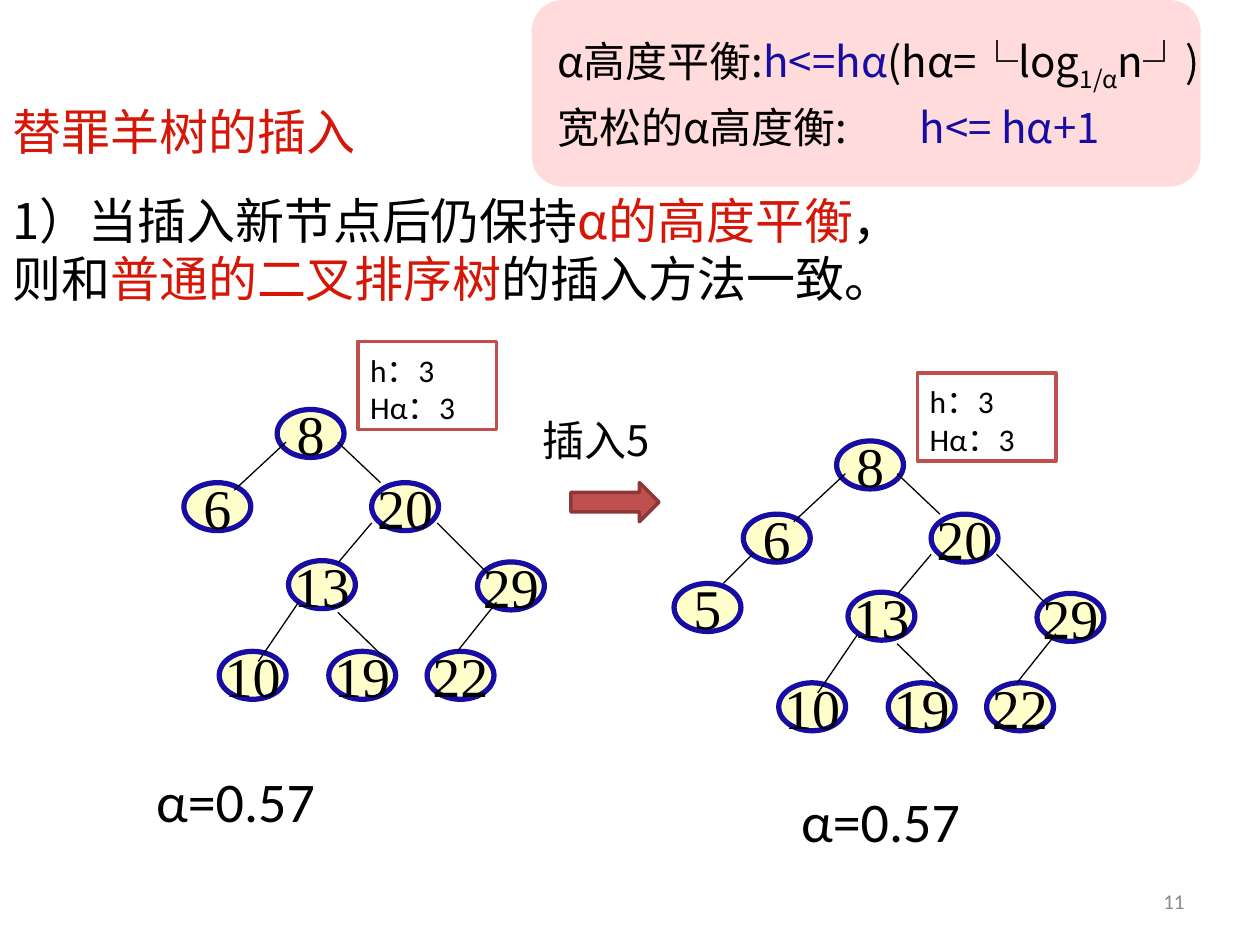
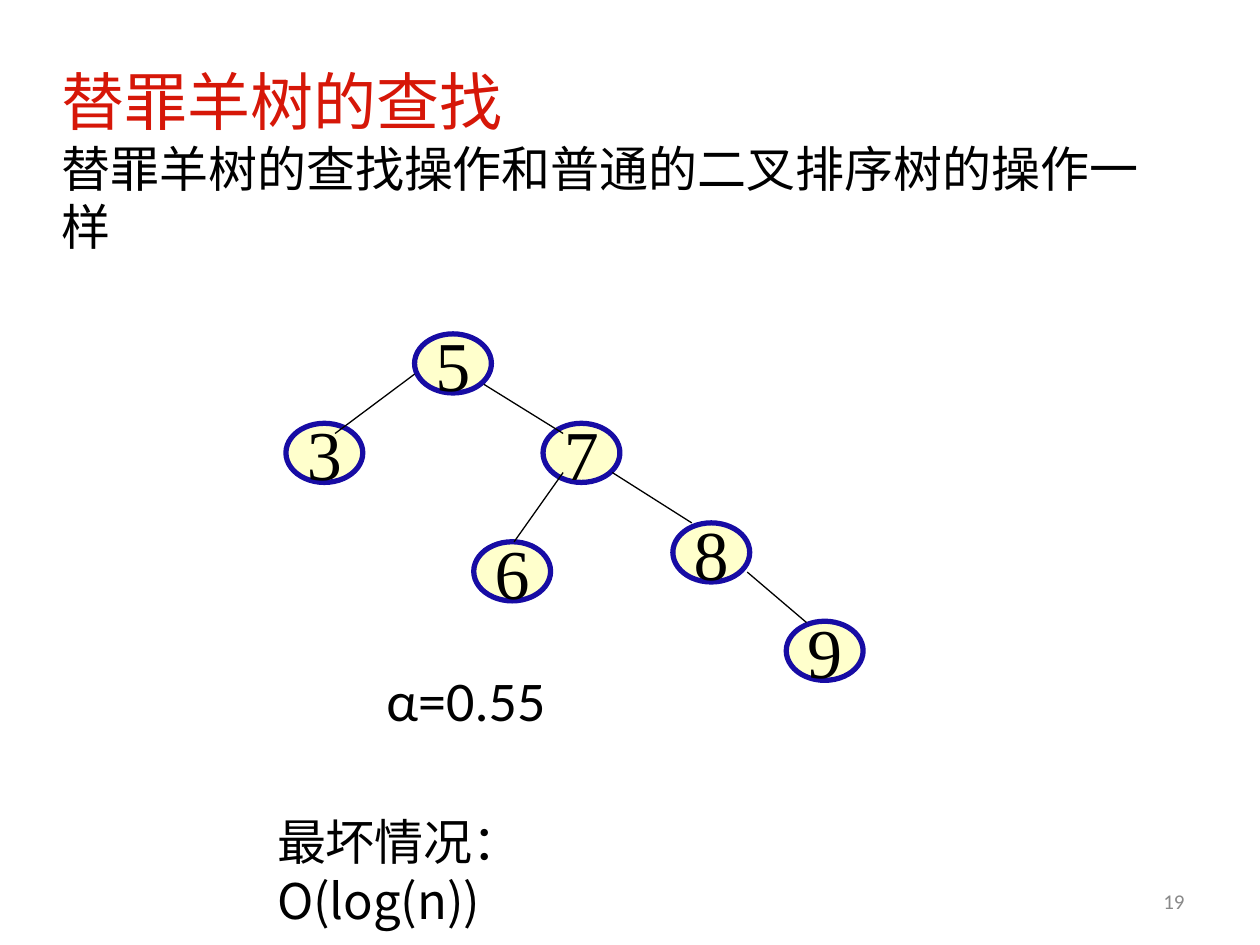
from lxml.etree import SubElement
from pptx import Presentation
from pptx.dml.color import RGBColor
from pptx.enum.shapes import MSO_CONNECTOR, MSO_SHAPE
from pptx.enum.text import MSO_ANCHOR, MSO_AUTO_SIZE, PP_ALIGN
from pptx.oxml.ns import qn
from pptx.util import Pt

COLORS = {
    "red": "D61708", "blue": "170CA4", "black": "000000", "grey": "898989",
    "node": "FFFFCC", "white": "FFFFFF", "brick": "C0504D",
    "brick_edge": "8C3836", "panel": "FF0000",
}
CJK, LATIN, NUMERAL = "Noto Sans CJK SC", "Calibri", "Times New Roman"
LINE_RATIO = 1.19

INSERT_NODES = {
    "8": (158.4, 234), "6": (105.1, 275.8), "20": (212.4, 275.8),
    "13": (164.9, 320.4), "29": (272.9, 321.1), "10": (125.3, 372.2),
    "19": (187.9, 372.2), "22": (244.1, 372.2),
}
INSERT_EDGES = [
    (163.4, 252.7, 133.9, 280.1), (193, 252.7, 217.4, 275.8),
    (212.4, 298.8, 193, 321.8), (249.8, 298.8, 277.9, 326.9),
    (170.6, 344.2, 147.6, 378), (193, 349.9, 221.8, 378),
    (283.7, 344.2, 261.4, 372.2),
]
NEW_NODE = {"5": (65.5, 315.4)}
NEW_EDGE = [(110.9, 298.1, 93.6, 315.4)]
SEARCH_NODES = {
    "5": (236.9, 190.8), "3": (163.4, 241.9), "7": (310.3, 241.9),
    "6": (270.7, 309.6), "8": (384.5, 298.8), "9": (449.3, 355),
}
SEARCH_EDGES = [
    (236.9, 213.8, 191.5, 247.7), (276.5, 219.6, 321.8, 247.7),
    (321.8, 270, 293.8, 309.6), (349.9, 270, 395.3, 298.8),
    (427, 326.9, 460.8, 355.7),
]


def rgb(name):
    return RGBColor.from_string(COLORS[name])


def add_run(paragraph, text, size, color="black", font=CJK, baseline=None):
    run = paragraph.add_run()
    run.text = text
    run.font.size = Pt(size)
    run.font.name = font
    run.font.color.rgb = rgb(color)
    east_asian = SubElement(run.font._element, qn("a:ea"))
    east_asian.set("typeface", CJK)
    if baseline:
        run.font._element.set("baseline", str(baseline))


def fill_frame(frame, paragraphs, size, font=CJK, pitch=None, align=PP_ALIGN.LEFT,
               anchor=MSO_ANCHOR.TOP, wrap=True):
    frame.word_wrap = wrap
    frame.auto_size = MSO_AUTO_SIZE.NONE
    frame.vertical_anchor = anchor
    for index, runs in enumerate(paragraphs):
        paragraph = frame.add_paragraph() if index else frame.paragraphs[0]
        paragraph.alignment = align
        if pitch:
            paragraph.line_spacing = Pt(pitch)
        for text, color, *baseline in runs:
            add_run(paragraph, text, size, color, font, *baseline)


def add_text(slide, box, paragraphs, size, **style):
    frame = slide.shapes.add_textbox(*map(Pt, box)).text_frame
    fill_frame(frame, paragraphs, size, **style)
    return frame


def add_prose(slide, box, runs, size):
    add_text(slide, box, [runs], size, pitch=round(size * LINE_RATIO, 1))


def add_title(slide, box, text, size):
    title = slide.shapes.title
    title.left, title.top, title.width, title.height = map(Pt, box)
    fill_frame(title.text_frame, [[(text, "red")]], size,
               pitch=round(size * LINE_RATIO, 1))


def add_box(slide, kind, box, fill, line=None, width=2):
    shape = slide.shapes.add_shape(kind, *map(Pt, box))
    shape.shadow.inherit = False
    shape.fill.solid()
    shape.fill.fore_color.rgb = rgb(fill)
    if line:
        shape.line.color.rgb = rgb(line)
        shape.line.width = Pt(width)
    else:
        shape.line.fill.background()
    return shape


def add_edge(slide, start, end):
    edge = slide.shapes.add_connector(MSO_CONNECTOR.STRAIGHT, *map(Pt, start + end))
    edge.line.color.rgb = rgb("black")
    edge.line.width = Pt(0.75)
    SubElement(edge._element.spPr, qn("a:effectLst"))


def add_tree(slide, nodes, edges, node_size, text_size, shift=(0, 0)):
    dx, dy = shift
    for key, (x, y) in nodes.items():
        node = add_box(slide, MSO_SHAPE.OVAL, (x + dx, y + dy, *node_size),
                       "node", "blue", 3)
        fill_frame(node.text_frame, [[(key, "black")]], text_size, font=NUMERAL,
                   align=PP_ALIGN.CENTER, anchor=MSO_ANCHOR.MIDDLE, wrap=False)
    for x1, y1, x2, y2 in edges:
        add_edge(slide, (x1 + dx, y1 + dy), (x2 + dx, y2 + dy))


def add_heights(slide, left, top):
    heights = add_box(slide, MSO_SHAPE.RECTANGLE, (left, top, 79.2, 50.4),
                      "white", "brick")
    fill_frame(heights.text_frame, [[("h：3", "black")], [("Hα：3", "black")]], 18,
               font=LATIN, pitch=21.4)
    heights.text_frame.margin_top = Pt(5.5)


def add_alpha(slide, left, top, value):
    add_text(slide, (left, top, 122, 46), [[(f"α={value}", "black")]], 32, font=LATIN)


def add_page_number(slide, number):
    add_text(slide, (516, 500.5, 168, 28.8), [[(str(number), "grey")]], 12,
             font=LATIN, align=PP_ALIGN.RIGHT, anchor=MSO_ANCHOR.MIDDLE)


def add_balance_panel(slide):
    panel = add_box(slide, MSO_SHAPE.ROUNDED_RECTANGLE, (303.8, 0, 382.3, 106.6), "panel")
    tint = panel.fill._xPr.find(qn("a:solidFill"))[0]
    SubElement(tint, qn("a:alpha")).set("val", "14000")
    rules = [
        [("α高度平衡:", "black"), ("h<=hα", "blue"), ("(hα=└log", "black"),
         ("1/α", "black", -25000), ("n┘)", "black")],
        [("宽松的α高度衡:\t", "black"), ("h<= hα+1", "blue")],
    ]
    frame = add_text(slide, (311.5, 0, 408, 106.6), rules, 24, pitch=33.7,
                     anchor=MSO_ANCHOR.MIDDLE)
    frame.margin_right = 0
    stops = SubElement(frame.paragraphs[1]._p.get_or_add_pPr(), qn("a:tabLst"))
    stop = SubElement(stops, qn("a:tab"))
    stop.set("pos", str(Pt(207)))
    stop.set("algn", "l")


def build_insertion(slide):
    add_title(slide, (0, 54.6, 300, 44), "替罪羊树的插入", 28)
    add_prose(slide, (0, 105.4, 500.4, 108), [
        ("1）当插入新节点后仍保持", "black"), ("α的高度平衡", "red"),
        ("，则和", "black"), ("普通的二叉排序树", "red"),
        ("的插入方法一致。", "black")], 28)
    shift = (319.7, 18)
    node_size = (38.2, 27.4)
    add_heights(slide, 204.5, 195.1)
    add_tree(slide, INSERT_NODES, INSERT_EDGES, node_size, 32)
    add_alpha(slide, 82.1, 434.2, "0.57")
    add_prose(slide, (303.1, 233.6, 90.7, 36), [("插入5", "black")], 24)
    add_heights(slide, 524.2, 213.1)
    add_tree(slide, INSERT_NODES | NEW_NODE, INSERT_EDGES + NEW_EDGE, node_size, 32, shift)
    add_alpha(slide, 450.7, 445.7, "0.57")
    add_box(slide, MSO_SHAPE.RIGHT_ARROW, (326.2, 275.8, 50.4, 22.3), "brick", "brick_edge")
    add_balance_panel(slide)
    add_page_number(slide, 11)


def build_search(slide):
    add_title(slide, (28.1, 32.5, 641.5, 50), "替罪羊树的查找", 36)
    add_prose(slide, (28.1, 75.7, 641.5, 74),
              [("替罪羊树的查找操作和普通的二叉排序树的操作一样", "black")], 28)
    add_alpha(slide, 213.8, 376.6, "0.55")
    add_tree(slide, SEARCH_NODES, SEARCH_EDGES, (43.9, 33.8), 40)
    add_prose(slide, (151.2, 460.8, 240, 75), [("最坏情况：O(log(n))", "black")], 28)
    add_page_number(slide, 19)


def main():
    """Build the two scapegoat tree slides."""
    deck = Presentation()
    deck.slide_width, deck.slide_height = Pt(720), Pt(540)
    for build in (build_insertion, build_search):
        build(deck.slides.add_slide(deck.slide_layouts[5]))
    deck.save("out.pptx")


if __name__ == "__main__":
    main()
